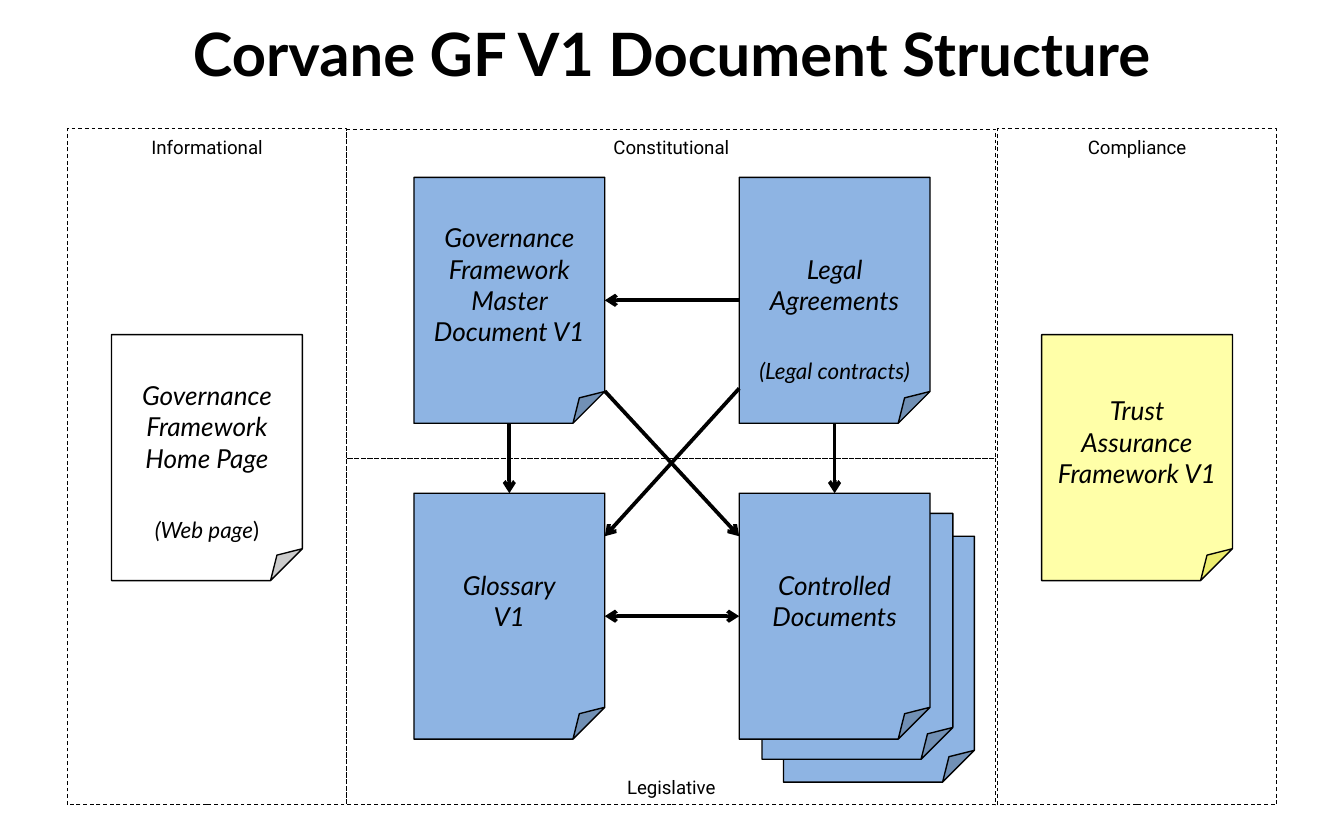
from lxml.etree import SubElement
from pptx import Presentation
from pptx.dml.color import RGBColor
from pptx.enum.dml import MSO_LINE
from pptx.enum.shapes import MSO_CONNECTOR, MSO_SHAPE
from pptx.enum.text import MSO_ANCHOR, PP_ALIGN
from pptx.oxml.ns import qn
from pptx.util import Inches, Pt

BLACK = RGBColor(0x00, 0x00, 0x00)
WHITE = RGBColor(0xFF, 0xFF, 0xFF)
BLUE = RGBColor(0x8E, 0xB4, 0xE3)
YELLOW = RGBColor(0xFF, 0xFF, 0x00)

TOP, LEFT, BOTTOM, RIGHT = range(4)
DOC_W, DOC_H = 1.42, 1.83
COLUMN_1, COLUMN_2 = 3.08, 5.5
ROW_1, ROW_2, SIDE_ROW = 1.32, 3.67, 2.49
HOME_X, TRUST_X = 0.83, 7.75

# Section frames: left, top, width, height, label, label top
LABEL_H = 0.27
SECTIONS = [
    (2.58, 0.96, 4.83, 2.45, "Constitutional", 0.96),
    (2.58, 3.41, 4.83, 2.58, "Legislative", 5.72),
    (0.5, 0.96, 2.08, 5.03, "Informational", 0.96),
    (7.42, 0.96, 2.08, 5.03, "Compliance", 0.96),
]


def add_run(para, text, size, font="Lato", bold=False, italic=False):
    span = para.add_run()
    span.text = text
    span.font.name = font
    span.font.size = Pt(size)
    span.font.bold = bold
    span.font.italic = italic
    span.font.color.rgb = BLACK


def add_document(page, left, top, fill, lines=(), alpha=None, bottom_inset=0.05):
    box = page.shapes.add_shape(MSO_SHAPE.FOLDED_CORNER, Inches(left), Inches(top),
                                Inches(DOC_W), Inches(DOC_H))
    box.shadow.inherit = False
    box.fill.solid()
    box.fill.fore_color.rgb = fill
    if alpha is not None:
        color = box.fill._xPr.find(".//" + qn("a:srgbClr"))
        SubElement(color, qn("a:alpha"), val=str(alpha * 1000))
    box.line.color.rgb = BLACK
    box.line.width = Pt(0.75)
    frame = box.text_frame
    frame.word_wrap = True
    frame.vertical_anchor = MSO_ANCHOR.MIDDLE
    frame.margin_bottom = Inches(bottom_inset)
    para = frame.paragraphs[0]
    para.alignment = PP_ALIGN.CENTER
    for index, line in enumerate(lines):
        if index:
            para.add_line_break()
        add_run(para, line, 14, italic=True)
    return box


def add_label(page, left, top, width, height, anchor=MSO_ANCHOR.TOP):
    box = page.shapes.add_textbox(Inches(left), Inches(top), Inches(width), Inches(height))
    frame = box.text_frame
    frame.word_wrap = True
    frame.vertical_anchor = anchor
    para = frame.paragraphs[0]
    para.alignment = PP_ALIGN.CENTER
    return para


def add_arrow(page, start=(0, 0), end=(0, 0), both=False):
    arrow = page.shapes.add_connector(MSO_CONNECTOR.STRAIGHT,
                                      Inches(start[0]), Inches(start[1]),
                                      Inches(end[0]), Inches(end[1]))
    arrow.line.color.rgb = BLACK
    arrow.line.width = Pt(2)
    line = arrow.line._get_or_add_ln()
    if both:
        SubElement(line, qn("a:headEnd"), type="arrow")
    SubElement(line, qn("a:tailEnd"), type="arrow")
    SubElement(arrow._element.spPr, qn("a:effectLst"))
    return arrow


def join(page, source, source_side, target, target_side, both=False):
    arrow = add_arrow(page, both=both)
    arrow.begin_connect(source, source_side)
    arrow.end_connect(target, target_side)


def add_section(page, left, top, width, height, label, label_top):
    frame = page.shapes.add_shape(MSO_SHAPE.RECTANGLE, Inches(left), Inches(top),
                                  Inches(width), Inches(height))
    frame.shadow.inherit = False
    frame.fill.background()
    frame.line.color.rgb = BLACK
    frame.line.width = Pt(0.5)
    frame.line.dash_style = MSO_LINE.DASH
    add_run(add_label(page, left, label_top, width, LABEL_H), label, 10, font="Roboto")


def main():
    deck = Presentation()
    deck.slide_width, deck.slide_height = Inches(10), Inches(6.25)
    page = deck.slides.add_slide(deck.slide_layouts[6])

    # Title
    title = add_label(page, 0.5, -0.04, 9, 0.87, MSO_ANCHOR.MIDDLE)
    add_run(title, "Corvane GF V1 Document Structure", 32, bold=True)

    # Documents, with two sheets stacked behind the controlled documents
    for left, top in ((5.83, 3.99), (5.67, 3.82)):
        add_document(page, left, top, BLUE)
    add_document(page, HOME_X, SIDE_ROW, WHITE,
                 ["Governance Framework Home Page"], bottom_inset=0.28)
    master = add_document(page, COLUMN_1, ROW_1, BLUE,
                          ["Governance Framework Master Document V1"])
    glossary = add_document(page, COLUMN_1, ROW_2, BLUE, ["Glossary", "V1"])
    legal = add_document(page, COLUMN_2, ROW_1, BLUE, ["Legal Agreements"])
    controlled = add_document(page, COLUMN_2, ROW_2, BLUE, ["Controlled Documents"])
    add_document(page, TRUST_X, SIDE_ROW, YELLOW,
                 ["Trust Assurance Framework V1"], alpha=34)

    # Arrows between documents
    join(page, master, BOTTOM, glossary, TOP)
    join(page, legal, BOTTOM, controlled, TOP)
    join(page, legal, LEFT, master, RIGHT)
    join(page, glossary, RIGHT, controlled, LEFT, both=True)
    add_arrow(page, (COLUMN_2, 2.89), (COLUMN_1 + DOC_W, 3.99))
    add_arrow(page, (COLUMN_1 + DOC_W, 2.91), (COLUMN_2, 3.99))

    # Document notes
    contracts = add_label(page, COLUMN_2, 2.61, DOC_W, 0.3)
    add_run(contracts, "(Legal contracts)", 12, italic=True)
    web_page = add_label(page, HOME_X, 3.79, DOC_W, 0.3)
    add_run(web_page, "(Web page", 12, italic=True)
    add_run(web_page, ")", 12)

    # Dashed sections
    for section in SECTIONS:
        add_section(page, *section)

    deck.save("out.pptx")


if __name__ == "__main__":
    main()
